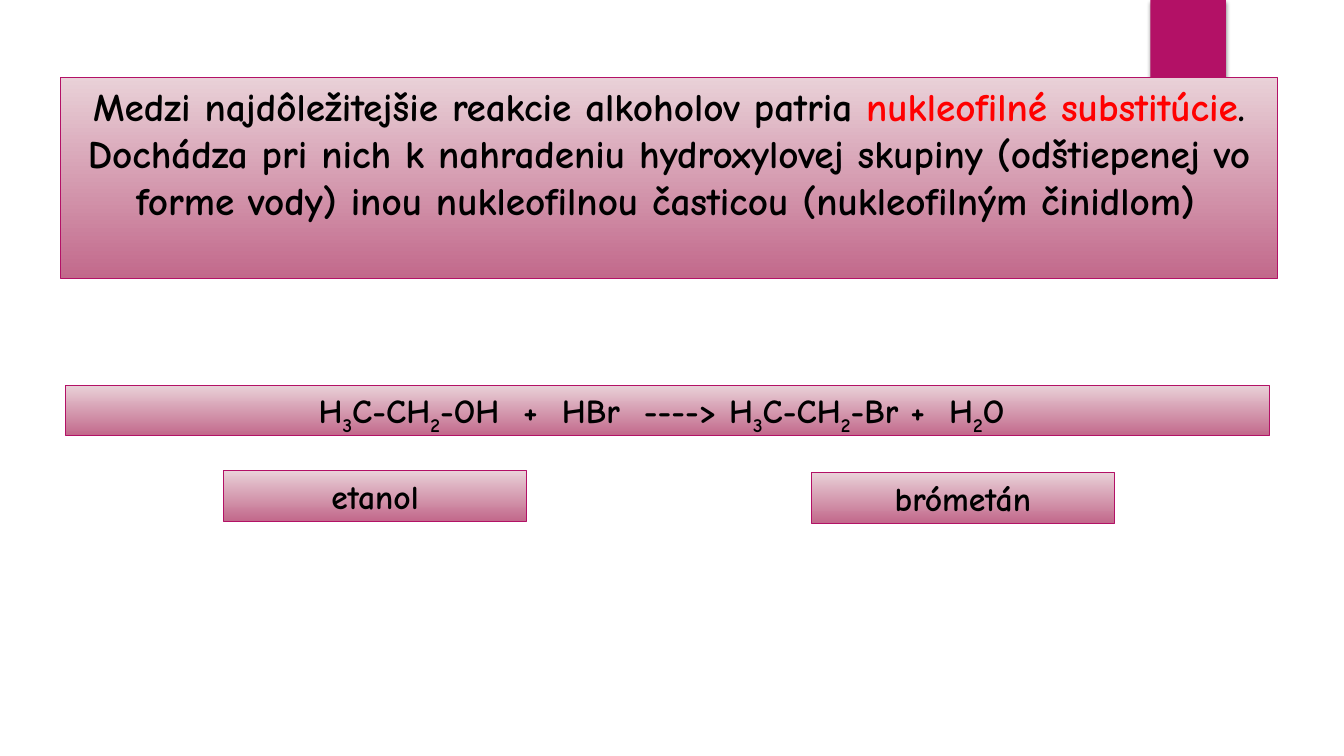
from itertools import groupby

from lxml import etree
from pptx import Presentation
from pptx.dml.color import RGBColor
from pptx.enum.shapes import MSO_SHAPE
from pptx.enum.text import MSO_ANCHOR, MSO_AUTO_SIZE, PP_ALIGN
from pptx.oxml import parse_xml
from pptx.util import Inches, Pt

RECTANGLE = MSO_SHAPE.RECTANGLE
TOP = MSO_ANCHOR.TOP
GROW = MSO_AUTO_SIZE.SHAPE_TO_FIT_TEXT
CENTER = PP_ALIGN.CENTER

MAGENTA, BLACK, RED = "B31166", "000000", "FF0000"
GRADIENT = ("E9D1D8", "C2698B")
HAND, BODY = "Comic Neue", "TeX Gyre Adventor"
LABEL_WIDTH, ROW_HEIGHT = 3, 0.5

RIBBON_SHADOW = """
<a:effectLst xmlns:a="http://schemas.openxmlformats.org/drawingml/2006/main">
  <a:outerShdw blurRad="38100" dist="25400" dir="5400000" rotWithShape="0">
    <a:srgbClr val="000000"><a:alpha val="45000"/></a:srgbClr>
  </a:outerShdw>
</a:effectLst>"""


def color(hex_code):
    return RGBColor.from_string(hex_code)


def add_panel(page, left, top, width, height, spans):
    """Gradient box with one centred line of (text, size, font, hex, bold, subscript) spans."""
    box = page.shapes.add_shape(
        RECTANGLE, Inches(left), Inches(top), Inches(width), Inches(height))
    box.shadow.inherit = False
    box.fill.gradient()
    box.fill.gradient_angle = 270
    for stop, shade in zip(box.fill.gradient_stops, GRADIENT):
        stop.color.rgb = color(shade)
    box.line.color.rgb = color(MAGENTA)
    box.line.width = Pt(0.75)
    frame = box.text_frame
    frame.word_wrap = True
    frame.auto_size = GROW
    frame.vertical_anchor = TOP
    para = frame.paragraphs[0]
    para.alignment = CENTER
    for text, size, font, shade, bold, subscript in spans:
        span = para.add_run()
        span.text = text
        span.font.size = Pt(size)
        span.font.name = font
        span.font.bold = bold
        span.font.color.rgb = color(shade)
        if subscript:
            span.font._element.set("baseline", "-25000")


deck = Presentation()
deck.slide_width, deck.slide_height = Inches(13.33), Inches(7.5)
page = deck.slides.add_slide(deck.slide_layouts[6])

# Ribbon at the top edge
ribbon = page.shapes.add_shape(
    RECTANGLE, Inches(11.41), 0, Inches(0.75), Inches(1.25))
ribbon.fill.solid()
ribbon.fill.fore_color.rgb = color(MAGENTA)
ribbon.line.fill.background()
ribbon._element.spPr.append(parse_xml(etree.tostring(etree.fromstring(RIBBON_SHADOW))))

# Definition
add_panel(page, 0.6, 0.77, 12.07, 1.99, [
    ("Medzi najdôležitejšie reakcie alkoholov patria ", 28, HAND, BLACK, True, False),
    ("nukleofilné substitúcie", 28, HAND, RED, True, False),
    (". Dochádza pri nich k nahradeniu hydroxylovej skupiny (odštiepenej vo forme vody) "
     "inou nukleofilnou časticou (nukleofilným činidlom)", 28, HAND, BLACK, True, False),
    (" ", 18, BODY, BLACK, False, False),
])

# Reaction equation: every digit is a subscript
equation = "H3C-CH2-OH  +  HBr  ----> H3C-CH2-Br +  H2O "
add_panel(page, 0.65, 3.82, 11.94, ROW_HEIGHT, [
    ("".join(letters), 24, HAND, BLACK, True, is_digit)
    for is_digit, letters in groupby(equation, str.isdigit)
])

# Compound names
for name, left, top in (("etanol", 2.22, 4.67), ("brómetán", 8.05, 4.69)):
    add_panel(page, left, top, LABEL_WIDTH, ROW_HEIGHT,
              [(name, 24, HAND, BLACK, True, False)])

deck.save("out.pptx")
